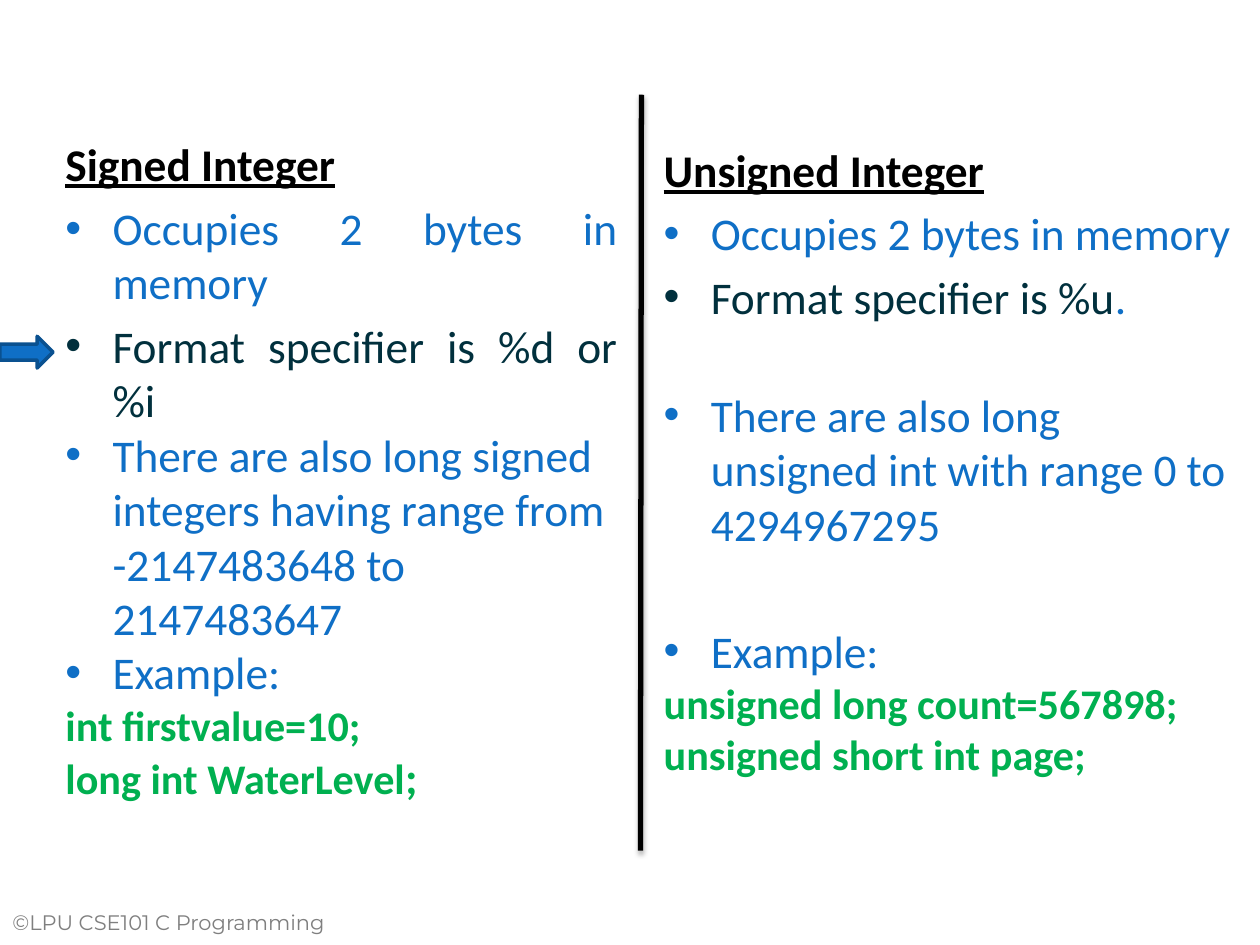
from dataclasses import dataclass

from lxml.etree import SubElement
from pptx import Presentation
from pptx.dml.color import RGBColor
from pptx.enum.shapes import MSO_CONNECTOR, MSO_SHAPE
from pptx.enum.text import MSO_ANCHOR, PP_ALIGN
from pptx.oxml.ns import qn
from pptx.util import Cm, Pt


@dataclass(frozen=True)
class Theme:
    blue: str = "0F6FC6"
    dark_blue: str = "0A5190"
    ink: str = "01303D"
    green: str = "00B050"
    black: str = "000000"
    white: str = "FFFFFF"
    grey: str = "7F7F7F"
    body_font: str = "Calibri"
    footer_font: str = "Montserrat"
    body: float = 25.9
    code: float = 24.1
    footer: float = 12
    item_gap: float = 5.2
    hang: float = 0.95


THEME = Theme()


def rgb(value):
    return RGBColor.from_string(value)


def add_bullet(paragraph, color):
    props = paragraph._p.get_or_add_pPr()
    SubElement(SubElement(props, qn("a:buClr")), qn("a:srgbClr"), val=color)
    SubElement(props, qn("a:buFont"), typeface="Arial")
    SubElement(props, qn("a:buChar"), char="•")


def write(frame, text, *, color, size=THEME.body, font=THEME.body_font, bold=False,
          underline=False, bullet=False, hang=False, before=0, spacing=None,
          align=PP_ALIGN.LEFT, tail=None):
    """Add one paragraph; tail is (text, color, size) of a differing last run."""
    first = frame.paragraphs[0]
    paragraph = frame.add_paragraph() if first.runs else first
    paragraph.alignment = align
    paragraph.space_before = Pt(before)
    if spacing:
        paragraph.line_spacing = spacing
    if bullet or hang:
        props = paragraph._p.get_or_add_pPr()
        props.set("marL", str(Cm(THEME.hang)))
        props.set("indent", str(-Cm(THEME.hang)))
    if bullet:
        add_bullet(paragraph, color)
    pieces = [(text, color, size)] + ([tail] if tail else [])
    for content, run_color, run_size in pieces:
        for number, line in enumerate(content.split("\v")):
            if number:
                paragraph.add_line_break()
            run = paragraph.add_run()
            run.text = line
            run.font.name = font
            run.font.size = Pt(run_size)
            run.font.bold = bold
            run.font.underline = underline
            run.font.color.rgb = rgb(run_color)


def add_text_area(slide, box, fill=None):
    area = slide.shapes.add_textbox(*map(Cm, box))
    if fill:
        area.fill.solid()
        area.fill.fore_color.rgb = rgb(fill)
    area.text_frame.word_wrap = True
    area.text_frame.vertical_anchor = MSO_ANCHOR.TOP
    return area.text_frame


def add_type_column(slide, box, heading, heading_format, items, code_lines):
    """Place a heading, bulleted facts and code examples in one column."""
    frame = add_text_area(slide, box, THEME.white)
    write(frame, heading, color=THEME.black, bold=True, underline=True, hang=True,
          **heading_format)
    for text, item_format in items:
        write(frame, text, bullet=True, **{"color": THEME.blue, **item_format})
    for text, code_format in code_lines:
        write(frame, text, color=THEME.green, size=THEME.code, bold=True, **code_format)


def add_pointer(slide, box):
    pointer = slide.shapes.add_shape(MSO_SHAPE.RIGHT_ARROW, *map(Cm, box))
    pointer.shadow.inherit = False
    pointer.fill.solid()
    pointer.fill.fore_color.rgb = rgb(THEME.blue)
    pointer.line.color.rgb = rgb(THEME.dark_blue)
    pointer.line.width = Pt(2)


def add_divider(slide, box):
    left, top, width, height = box
    divider = slide.shapes.add_connector(
        MSO_CONNECTOR.STRAIGHT, Cm(left), Cm(top + height), Cm(left + width), Cm(top))
    divider.line.color.rgb = rgb(THEME.black)
    divider.line.width = Pt(3)
    effects = SubElement(divider._element.spPr, qn("a:effectLst"))
    shadow = SubElement(effects, qn("a:outerShdw"), blurRad=str(Pt(3.1)),
                        dist=str(Pt(1.8)), dir="5400000", rotWithShape="0")
    shade = SubElement(shadow, qn("a:srgbClr"), val=THEME.black)
    SubElement(shade, qn("a:alpha"), val="35000")


def add_footer(slide, box):
    write(add_text_area(slide, box), "©LPU CSE101 C Programming", color=THEME.grey,
          size=THEME.footer, font=THEME.footer_font)


def build_integer_slide(slide):
    gap = {"before": THEME.item_gap}
    justified = {"align": PP_ALIGN.JUSTIFY}
    add_footer(slide, (0, 18.21, 7.62, 1.07))
    add_type_column(
        slide, (1.07, 2.74, 11.63, 14.27),
        "Signed Integer", {"spacing": 0.9, **justified},
        [("Occupies 2 bytes in memory", {**gap, **justified}),
         ("Format specifier is %d or %i", {"color": THEME.ink, **gap, **justified}),
         ("There are also long signed integers having range from "
          "-2147483648 to 2147483647", {}),
         ("Example:", {})],
        [("int firstvalue=10;", {}),
         ("long int WaterLevel", {"tail": (";", THEME.green, THEME.body), **justified})])
    add_type_column(
        slide, (13.13, 2.74, 12.27, 14.17),
        "Unsigned Integer", {},
        [("Occupies 2 bytes in memory", gap),
         ("Format specifier is %u",
          {"color": THEME.ink, "tail": (".", THEME.blue, THEME.body), **gap}),
         ("There are also long\vunsigned int with range 0 to 4294967295",
          {"before": 36.3}),
         ("Example:", {"before": 41.5})],
        [("unsigned long count=567898;", {}),
         ("unsigned short int page;", {})])
    add_pointer(slide, (0, 6.78, 1.07, 0.64))
    add_divider(slide, (12.91, 1.91, 0.02, 15.24))


def main():
    deck = Presentation()
    deck.slide_width, deck.slide_height = Cm(25.4), Cm(19.05)
    build_integer_slide(deck.slides.add_slide(deck.slide_layouts[6]))
    deck.save("out.pptx")


if __name__ == "__main__":
    main()
